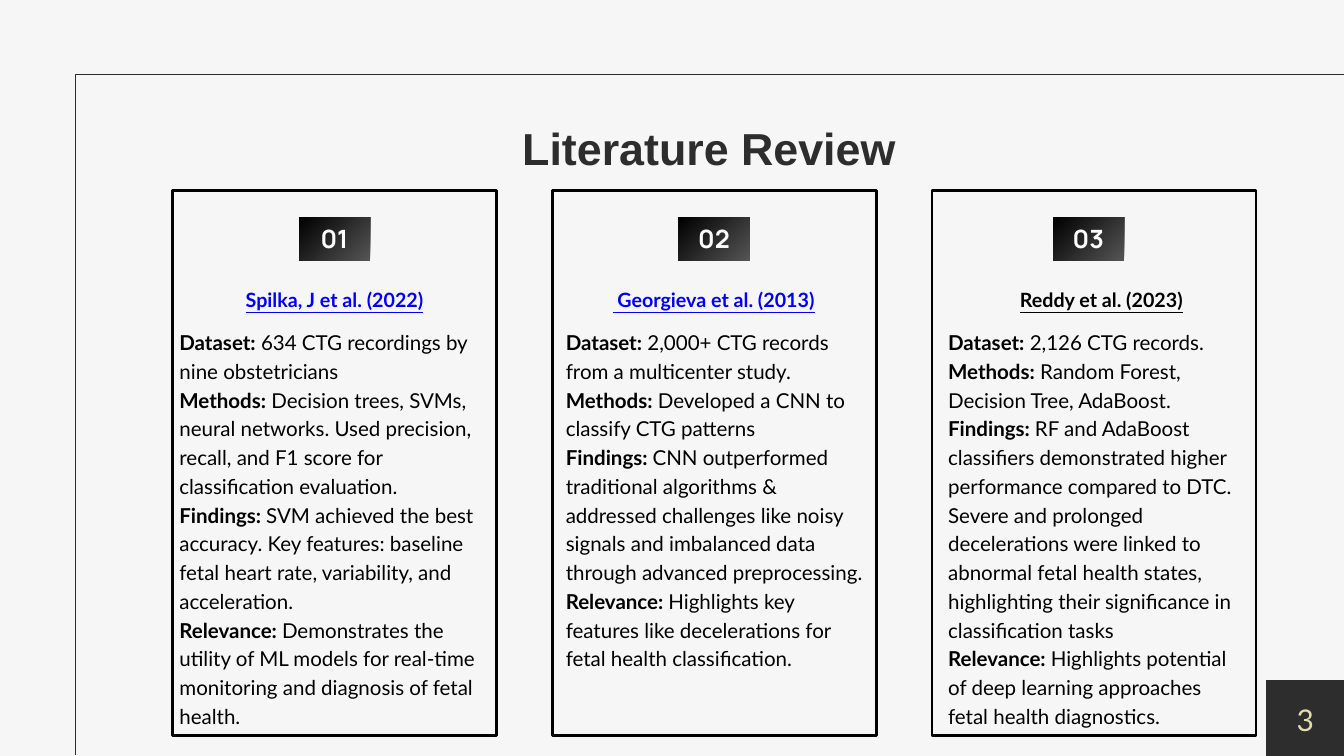
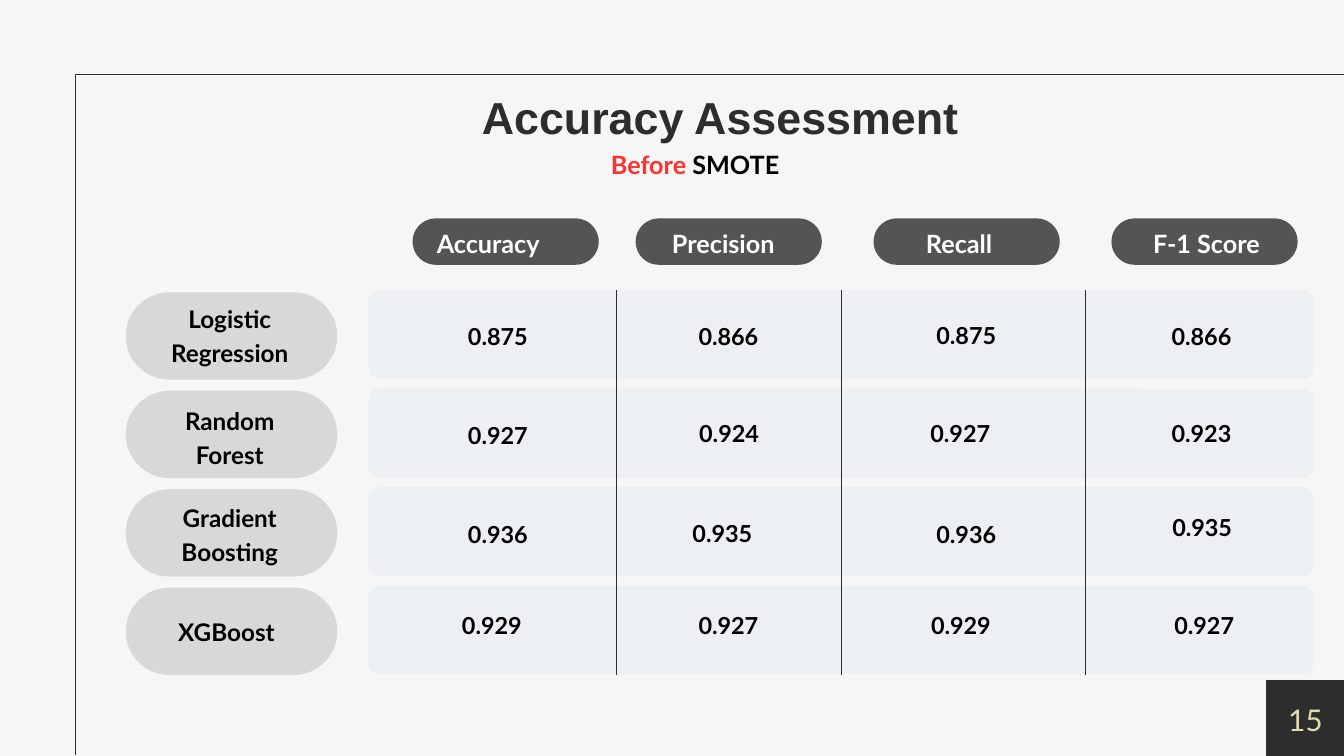
import pptx
import pptx.dml.color
import pptx.enum.shapes
import pptx.enum.text
import pptx.oxml
import pptx.oxml.ns
import pptx.util
from pptx.util import Inches

COLORS = {
    "background": "F6F6F6",
    "dark": "2D2D2D",
    "page_number": "E0DDAA",
    "black": "000000",
    "white": "FFFFFF",
    "link": "0000FF",
    "badge_end": "555555",
    "row_label": "D9D8D8",
    "column_header": "555454",
    "row_band": "EDF0F2",
    "alert": "FF3131",
}
RGB = {name: pptx.dml.color.RGBColor.from_string(value) for name, value in COLORS.items()}
SHAPES = pptx.enum.shapes.MSO_SHAPE
ALIGN = pptx.enum.text.PP_ALIGN
LINE_HEIGHT = 1.4


def write_text(shape, text, size, font="Lato", color="black", bold=True, underline=None,
               align=ALIGN.CENTER, lead_color=None):
    """Fill a shape; each line is a paragraph, and the part before | is a bold lead."""
    frame = shape.text_frame
    frame.word_wrap = True
    frame.auto_size = pptx.enum.text.MSO_AUTO_SIZE.NONE
    frame.vertical_anchor = pptx.enum.text.MSO_ANCHOR.TOP
    frame.margin_left = frame.margin_top = frame.margin_right = frame.margin_bottom = 0
    for index, line in enumerate(text.split("\n")):
        paragraph = frame.add_paragraph() if index else frame.paragraphs[0]
        paragraph.alignment = align
        paragraph.line_spacing = pptx.util.Pt(round(size * LINE_HEIGHT, 1))
        paragraph.space_before = pptx.util.Pt(0)
        parts = line.split("|")
        for position, part in enumerate(parts):
            is_lead = position < len(parts) - 1
            run = paragraph.add_run()
            run.text = part
            run.font.size = pptx.util.Pt(size)
            run.font.name = font
            run.font.bold = bold or is_lead
            run.font.underline = underline
            run.font.color.rgb = RGB[lead_color if is_lead and lead_color else color]


def add_box(slide, kind, left, top, width, height, fill=None, outline=None, corner=None):
    """Add a preset shape with a plain fill or a plain outline."""
    shape = slide.shapes.add_shape(kind, Inches(left), Inches(top), Inches(width), Inches(height))
    shape.shadow.inherit = False
    if corner is not None:
        shape.adjustments[0] = corner
    if fill:
        shape.fill.solid()
        shape.fill.fore_color.rgb = RGB[fill]
    else:
        shape.fill.background()
    if outline:
        shape.line.color.rgb = RGB[outline]
        shape.line.width = pptx.util.Pt(3)
    else:
        shape.line.fill.background()
    return shape


presentation = pptx.Presentation()
presentation.slide_width = Inches(20)
presentation.slide_height = Inches(11.25)

# Shared background, title and page number
pages = [
    ("Literature Review", "3", 2.14, 1.67, 16.82),
    ("Accuracy Assessment", "15", 5.64, 1.2, 10.15),
]
for title_text, number, left, top, width in pages:
    slide = presentation.slides.add_slide(presentation.slide_layouts[5])
    slide.background.fill.solid()
    slide.background.fill.fore_color.rgb = RGB["background"]
    title = slide.shapes.title
    title.left, title.top = Inches(left), Inches(top)
    title.width, title.height = Inches(width), Inches(0.93)
    write_text(title, title_text, 48, font="Arial", color="dark")
    add_box(slide, SHAPES.RECTANGLE, 18.84, 10.12, 1.16, 1.13, fill="dark")
    number_box = slide.shapes.add_textbox(Inches(19), Inches(10.35), Inches(0.85), Inches(0.62))
    write_text(number_box, number, 32, color="page_number", bold=False)
review_slide, accuracy_slide = presentation.slides

# Literature review: one card per study
studies = [
    {
        "citation": "Spilka, J et al. (2022)", "citation_color": "link", "citation_center": 4.98,
        "badge_left": 4.45, "body_left": 2.67, "body_width": 4.63,
        "body": "Dataset:| 634 CTG recordings by nine obstetricians\n"
                "Methods:| Decision trees, SVMs, neural networks. Used precision, recall, "
                "and F1 score for classification evaluation.\n"
                "Findings: |SVM achieved the best accuracy. Key features: baseline fetal heart "
                "rate, variability, and acceleration.\n"
                "Relevance: |Demonstrates the utility of ML models for real-time monitoring "
                "and diagnosis of fetal health.",
    },
    {
        "citation": " Georgieva et al. (2013)", "citation_color": "link", "citation_center": 10.62,
        "badge_left": 10.1, "body_left": 8.42, "body_width": 4.43,
        "body": "Dataset:| 2,000+ CTG records from a multicenter study.\n"
                "Methods:| Developed a CNN to classify CTG patterns\n"
                "Findings: |CNN outperformed traditional algorithms & addressed challenges like "
                "noisy signals and imbalanced data through advanced preprocessing.\n"
                "Relevance: |Highlights key features like decelerations for fetal health "
                "classification.",
    },
    {
        "citation": "Reddy et al. (2023)", "citation_color": "black", "citation_center": 16.39,
        "badge_left": 15.67, "body_left": 14.11, "body_width": 4.43,
        "body": "Dataset:| 2,126 CTG records.\n"
                "Methods:| Random Forest, Decision Tree, AdaBoost.\n"
                "Findings: |RF and AdaBoost classifiers demonstrated higher performance compared "
                "to DTC. Severe and prolonged decelerations were linked to abnormal fetal health "
                "states, highlighting their significance in classification tasks\n"
                "Relevance: |Highlights potential of deep learning approaches fetal health "
                "diagnostics.",
    },
]
for index, study in enumerate(studies):
    add_box(review_slide, SHAPES.RECTANGLE, 2.57 + 5.65 * index, 2.84, 4.82, 8.11, outline="black")

    # Number badge, shaded from its top left corner
    badge = add_box(review_slide, SHAPES.RECTANGLE, study["badge_left"], 3.23, 1.06, 0.65)
    badge.fill.gradient()
    for stop, color in zip(badge.fill.gradient_stops, ("black", "badge_end")):
        stop.color.rgb = RGB[color]
    linear = badge.element.spPr.find(".//" + pptx.oxml.ns.qn("a:lin"))
    linear.getparent().replace(linear, pptx.oxml.parse_xml(
        f'<a:path {pptx.oxml.ns.nsdecls("a")} path="circle">'
        '<a:fillToRect l="0" t="0" r="100000" b="100000"/></a:path>'))
    badge_text = review_slide.shapes.add_textbox(
        Inches(study["badge_left"] + 0.08), Inches(3.25), Inches(0.89), Inches(0.53))
    write_text(badge_text, f"{index + 1:02}", 27, font="Manrope", color="white")

    citation = review_slide.shapes.add_textbox(
        Inches(study["citation_center"] - 1.6), Inches(4.23), Inches(3.2), Inches(0.4))
    write_text(citation, study["citation"], 21.1, color=study["citation_color"], underline=True)
    body = review_slide.shapes.add_textbox(
        Inches(study["body_left"]), Inches(4.85), Inches(study["body_width"]), Inches(5.97))
    write_text(body, study["body"], 22, bold=False, align=ALIGN.LEFT)

# Accuracy assessment: subtitle
subtitle = accuracy_slide.shapes.add_textbox(Inches(9.09), Inches(2.15), Inches(3.09), Inches(0.51))
write_text(subtitle, "Before| SMOTE", 27, align=ALIGN.LEFT, lead_color="alert")

# Column headers: pill left, text left
metrics = [
    ("Accuracy", 6.14, 6.5),
    ("Precision", 9.46, 10),
    ("Recall", 13, 13.78),
    ("F-1 Score", 16.54, 17.16),
]
for metric, pill_left, text_left in metrics:
    add_box(accuracy_slide, SHAPES.ROUNDED_RECTANGLE, pill_left, 3.25, 2.77, 0.69,
            fill="column_header", corner=0.5)
    header = accuracy_slide.shapes.add_textbox(
        Inches(text_left), Inches(3.32), Inches(1.9), Inches(0.51))
    write_text(header, metric, 27, color="white", align=ALIGN.LEFT)

# Model rows: label, label center and top, then score, center and top
models = [
    ("Logistic\nRegression", 3.42, 4.46, [
        ("0.875", 7.41, 4.73), ("0.866", 10.84, 4.73), ("0.875", 14.38, 4.71), ("0.866", 17.88, 4.73)]),
    ("Random\nForest", 3.42, 5.98, [
        ("0.927", 7.41, 6.19), ("0.924", 10.85, 6.17), ("0.927", 14.29, 6.17), ("0.923", 17.88, 6.17)]),
    ("Gradient\nBoosting", 3.42, 7.41, [
        ("0.936", 7.41, 7.67), ("0.935", 10.75, 7.65), ("0.936", 14.38, 7.67), ("0.935", 17.89, 7.56)]),
    ("XGBoost", 3.37, 9.12, [
        ("0.929", 7.32, 9.02), ("0.927", 10.84, 9.02), ("0.929", 14.3, 9.02), ("0.927", 17.92, 9.02)]),
]
for index, (model, label_center, label_top, scores) in enumerate(models):
    row_offset = 1.465 * index
    add_box(accuracy_slide, SHAPES.ROUNDED_RECTANGLE, 1.87, 4.35 + row_offset, 3.15, 1.3,
            fill="row_label", corner=0.5)
    add_box(accuracy_slide, SHAPES.ROUNDED_RECTANGLE, 5.48, 4.32 + row_offset, 14.07, 1.32,
            fill="row_band", corner=0.13)
    label = accuracy_slide.shapes.add_textbox(
        Inches(label_center - 1.05), Inches(label_top), Inches(2.1), Inches(0.98))
    write_text(label, model, 26)
    for score, center, top in scores:
        score_box = accuracy_slide.shapes.add_textbox(
            Inches(center - 0.5), Inches(top), Inches(1), Inches(0.48))
        write_text(score_box, score, 25.1)

# Frame lines on both slides, column dividers on the second
frame_lines = [(1.12, 1.12, 1.12, 11.24), (20, 1.1, 1.12, 1.1)]
dividers = [(x, 4.32, x, 10.04) for x in (9.17, 12.52, 16.15)]
for slide, lines in ((review_slide, frame_lines), (accuracy_slide, frame_lines + dividers)):
    for ends in lines:
        connector = slide.shapes.add_connector(
            pptx.enum.shapes.MSO_CONNECTOR.STRAIGHT, *[Inches(value) for value in ends])
        connector.line.color.rgb = RGB["dark"]
        connector.line.width = pptx.util.Pt(0.75)
        connector.element.spPr.append(
            pptx.oxml.parse_xml(f'<a:effectLst {pptx.oxml.ns.nsdecls("a")}/>'))

presentation.save("out.pptx")
